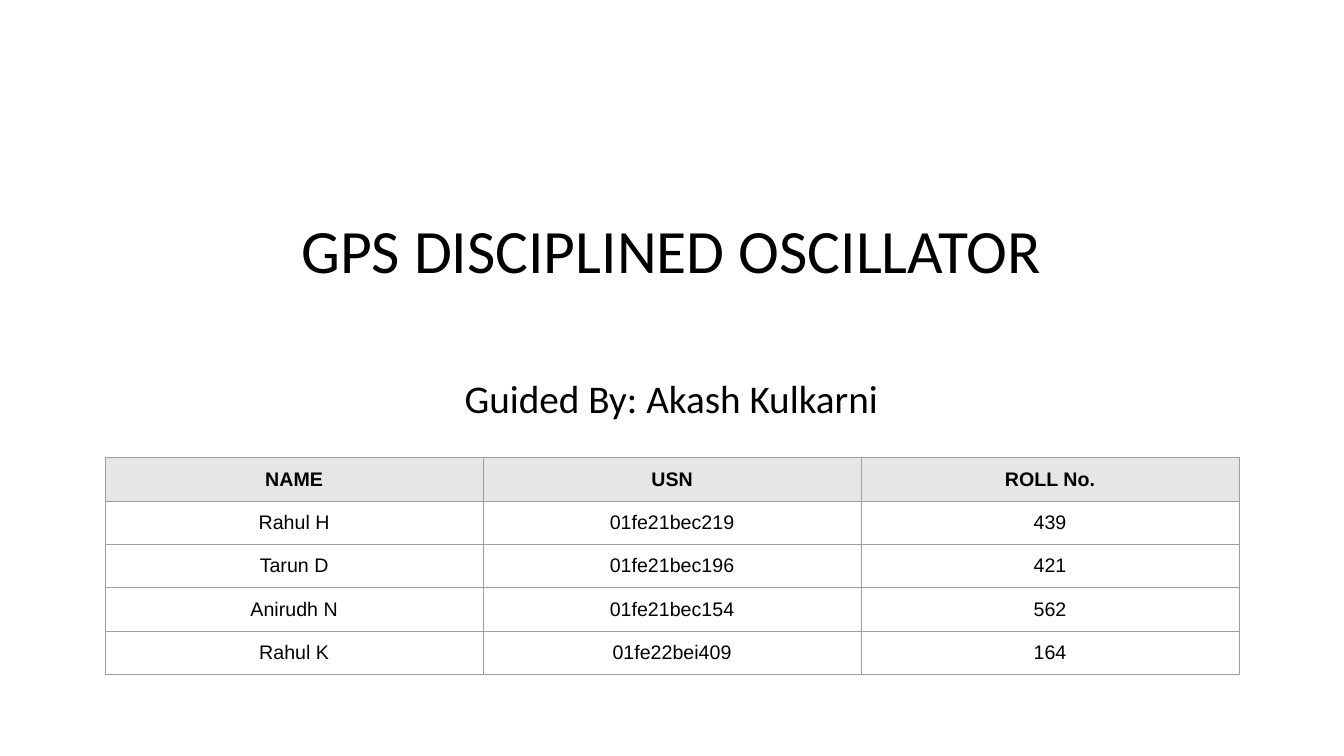
from dataclasses import astuple, dataclass

from lxml.etree import SubElement
from pptx import Presentation
from pptx.dml.color import RGBColor
from pptx.enum.text import MSO_ANCHOR as Anchor, PP_ALIGN as Align
from pptx.oxml.ns import qn
from pptx.slide import Slide
from pptx.table import _Cell as Cell
from pptx.text.text import TextFrame
from pptx.util import Cm, Pt

BLACK = "000000"
HEADER_GREY = "E7E6E6"
BORDER_GREY = "9E9E9E"
INSET = Cm(0.25)


@dataclass(frozen=True)
class Member:
    name: str
    usn: str
    roll: str


HEADINGS = Member("NAME", "USN", "ROLL No.")
MEMBERS = [
    Member("Rahul H", "01fe21bec219", "439"),
    Member("Tarun D", "01fe21bec196", "421"),
    Member("Anirudh N", "01fe21bec154", "562"),
    Member("Rahul K", "01fe22bei409", "164"),
]


def colour(value: str) -> RGBColor:
    return RGBColor.from_string(value)


def write(frame: TextFrame, text: str, *, size: float, font: str,
          bold: bool = False, align: Align = Align.CENTER,
          line_spacing: float = 1.0) -> None:
    frame.word_wrap = True
    paragraph = frame.paragraphs[0]
    paragraph.alignment = align
    paragraph.line_spacing = line_spacing
    run = paragraph.add_run()
    run.text = text
    run.font.size = Pt(size)
    run.font.name = font
    run.font.bold = bold
    run.font.color.rgb = colour(BLACK)


def add_title(slide: Slide) -> None:
    title = slide.shapes.title
    title.left, title.top = Cm(2.33), Cm(4.55)
    title.width, title.height = Cm(29.2), Cm(3.68)
    frame = title.text_frame
    frame.vertical_anchor = Anchor.MIDDLE
    write(frame, "GPS DISCIPLINED OSCILLATOR", size=44, font="Calibri",
          line_spacing=0.9)


def add_guide(slide: Slide) -> None:
    guide = slide.shapes.add_textbox(Cm(11.46), Cm(9.17), Cm(10.97), Cm(1.96))
    frame = guide.text_frame
    frame.margin_left = frame.margin_right = INSET
    frame.margin_top = frame.margin_bottom = INSET
    write(frame, "Guided By: Akash Kulkarni", size=28, font="Calibri",
          align=Align.LEFT)


def add_borders(cell: Cell) -> None:
    properties = cell._tc.get_or_add_tcPr()
    for position, side in enumerate(("lnL", "lnR", "lnT", "lnB")):
        line = SubElement(properties, qn(f"a:{side}"), w=str(Pt(0.75)))
        fill = SubElement(line, qn("a:solidFill"))
        SubElement(fill, qn("a:srgbClr"), val=BORDER_GREY)
        properties.insert(position, line)


def fill_cell(cell: Cell, text: str, is_heading: bool) -> None:
    cell.margin_left = cell.margin_right = INSET
    cell.margin_top = cell.margin_bottom = INSET
    cell.vertical_anchor = Anchor.MIDDLE
    if is_heading:
        cell.fill.solid()
        cell.fill.fore_color.rgb = colour(HEADER_GREY)
    else:
        cell.fill.background()
    add_borders(cell)
    write(cell.text_frame, text, size=14, font="Arial", bold=is_heading)


def add_members(slide: Slide) -> None:
    rows = [astuple(member) for member in (HEADINGS, *MEMBERS)]
    column_count = len(rows[0])
    members = slide.shapes.add_table(
        len(rows), column_count, Cm(2.65), Cm(11.53),
        Cm(9.525) * column_count, Cm(1.06) * len(rows)).table
    members.horz_banding = False
    for row_index, row in enumerate(rows):
        for column_index, text in enumerate(row):
            fill_cell(members.cell(row_index, column_index), text,
                      row_index == 0)


def main() -> None:
    deck = Presentation()
    deck.slide_width, deck.slide_height = Cm(33.87), Cm(19.05)
    slide = deck.slides.add_slide(deck.slide_layouts.get_by_name("Title Only"))
    add_title(slide)
    add_guide(slide)
    add_members(slide)
    deck.save("out.pptx")


if __name__ == "__main__":
    main()
